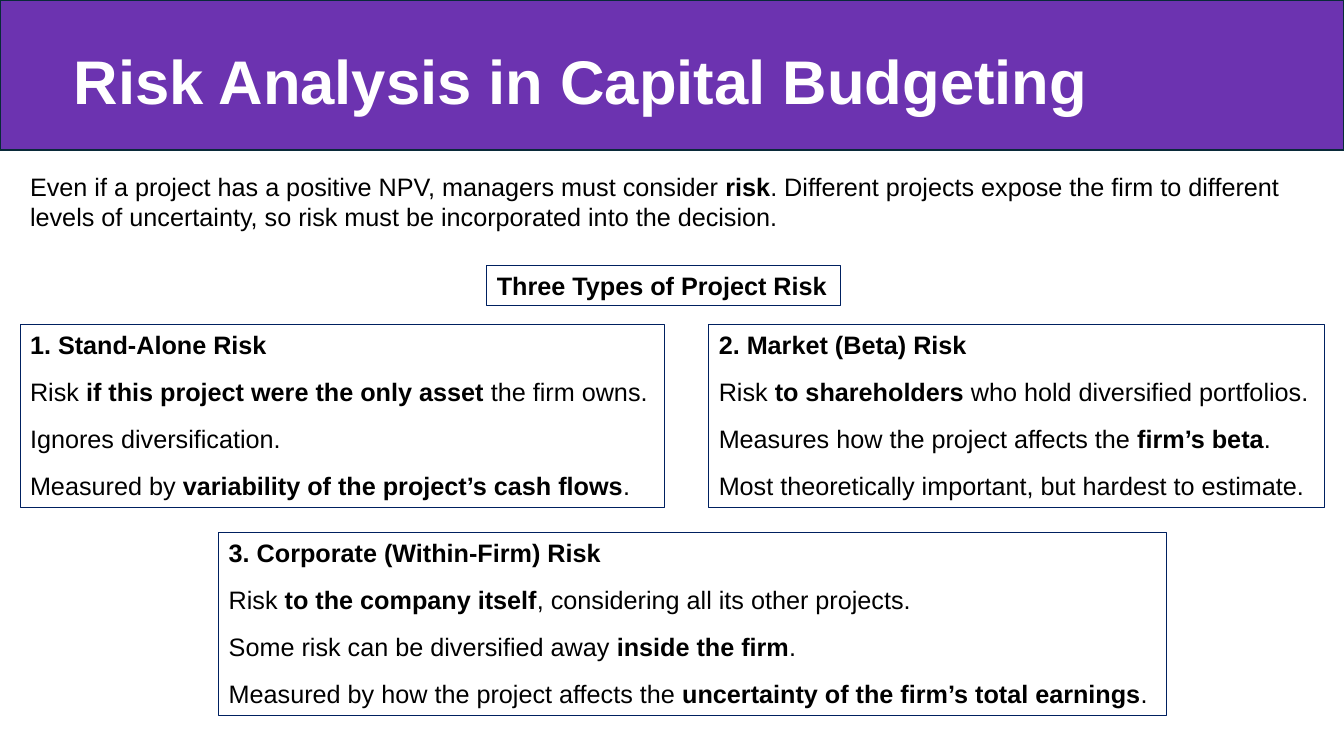
from dataclasses import dataclass

from pptx import Presentation
from pptx.dml.color import RGBColor
from pptx.enum.shapes import MSO_SHAPE as Form
from pptx.enum.text import MSO_ANCHOR as Anchor, MSO_AUTO_SIZE as Fit, PP_ALIGN as Align
from pptx.util import Inches, Pt

WIDE, HIGH = Inches(13.33), Inches(7.5)
PURPLE, NAVY, EDGE = "6C33B0", "002060", "092A39"
BLACK, WHITE = "000000", "FFFFFF"


@dataclass
class Area:
    """A rectangle in percent of the slide's width and height."""
    left: float
    top: float
    width: float
    height: float

    def emu(self) -> tuple:
        return (int(WIDE * self.left / 100), int(HIGH * self.top / 100),
                int(WIDE * self.width / 100), int(HIGH * self.height / 100))


@dataclass
class Panel:
    """A text box; asterisks enclose the bold words of a line."""
    area: Area
    lines: list
    framed: bool = True
    gap: float = 6


def color(code: str) -> RGBColor:
    return RGBColor.from_string(code)


def write(para, text: str, size: float = 18, tint: str = BLACK, gap: float = 0,
          first: bool = True) -> None:
    para.alignment = Align.LEFT
    para.space_before = Pt(0 if first else gap)
    para.space_after = Pt(gap)
    for spot, part in enumerate(text.split("*")):
        if part:
            run = para.add_run()
            run.text = part
            font = run.font
            font.name, font.size, font.bold = "Arial", Pt(size), spot % 2 == 1
            font.color.rgb = color(tint)


def outline(shape, tint: str, width: float) -> None:
    shape.line.color.rgb = color(tint)
    shape.line.width = Pt(width)


def draw(slide, panel: Panel) -> None:
    box = slide.shapes.add_textbox(*panel.area.emu())
    frame = box.text_frame
    frame.word_wrap = not panel.framed
    frame.auto_size = Fit.SHAPE_TO_FIT_TEXT
    if panel.framed:
        outline(box, NAVY, 0.75)
    for row, line in enumerate(panel.lines):
        para = frame.add_paragraph() if row else frame.paragraphs[0]
        write(para, line, gap=panel.gap, first=row == 0)


def head(slide) -> None:
    # Title text
    title = slide.shapes.title
    title.left, title.top, title.width, title.height = Area(4.73, 4, 89.35, 14.27).emu()
    frame = title.text_frame
    frame.vertical_anchor, frame.word_wrap = Anchor.MIDDLE, True
    frame.auto_size = Fit.NONE
    para = frame.paragraphs[0]
    para.line_spacing = 0.9
    write(para, "*Risk Analysis in Capital Budgeting*", size=44, tint=WHITE)

    # Band behind the title
    band = slide.shapes.add_shape(Form.RECTANGLE, *Area(0, 0, 100, 19.87).emu())
    band.shadow.inherit = False
    band.fill.solid()
    band.fill.fore_color.rgb = color(PURPLE)
    outline(band, EDGE, 1.5)
    title.element.addprevious(band.element)


ROW, TALL = 42.93, 24.27  # top of the upper cards, height of every card

PANELS = [
    # Introduction
    Panel(Area(1.5, 22, 97.5, 9.47), [
        "Even if a project has a positive NPV, managers must consider *risk*. "
        "Different projects expose the firm to different levels of uncertainty, "
        "so risk must be incorporated into the decision."], framed=False),
    # Heading of the cards
    Panel(Area(36.23, 35.07, 26.33, 5.33), ["*Three Types of Project Risk*"], gap=0),
    # Risk cards
    Panel(Area(1.5, ROW, 47.94, TALL), [
        "*1. Stand-Alone Risk*",
        "Risk *if this project were the only asset* the firm owns.",
        "Ignores diversification.",
        "Measured by *variability of the project’s cash flows*."]),
    Panel(Area(52.74, ROW, 45.84, TALL), [
        "*2. Market (Beta) Risk*",
        "Risk *to shareholders* who hold diversified portfolios.",
        "Measures how the project affects the *firm’s beta*.",
        "Most theoretically important, but hardest to estimate."]),
    Panel(Area(16.28, 70.4, 70.52, TALL), [
        "*3. Corporate (Within-Firm) Risk*",
        "Risk *to the company itself*, considering all its other projects.",
        "Some risk can be diversified away *inside the firm*.",
        "Measured by how the project affects the "
        "*uncertainty of the firm’s total earnings*."]),
]


def main() -> None:
    deck = Presentation()
    deck.slide_width, deck.slide_height = WIDE, HIGH
    slide = deck.slides.add_slide(deck.slide_layouts[5])
    head(slide)
    for panel in PANELS:
        draw(slide, panel)
    deck.save("out.pptx")


if __name__ == "__main__":
    main()
